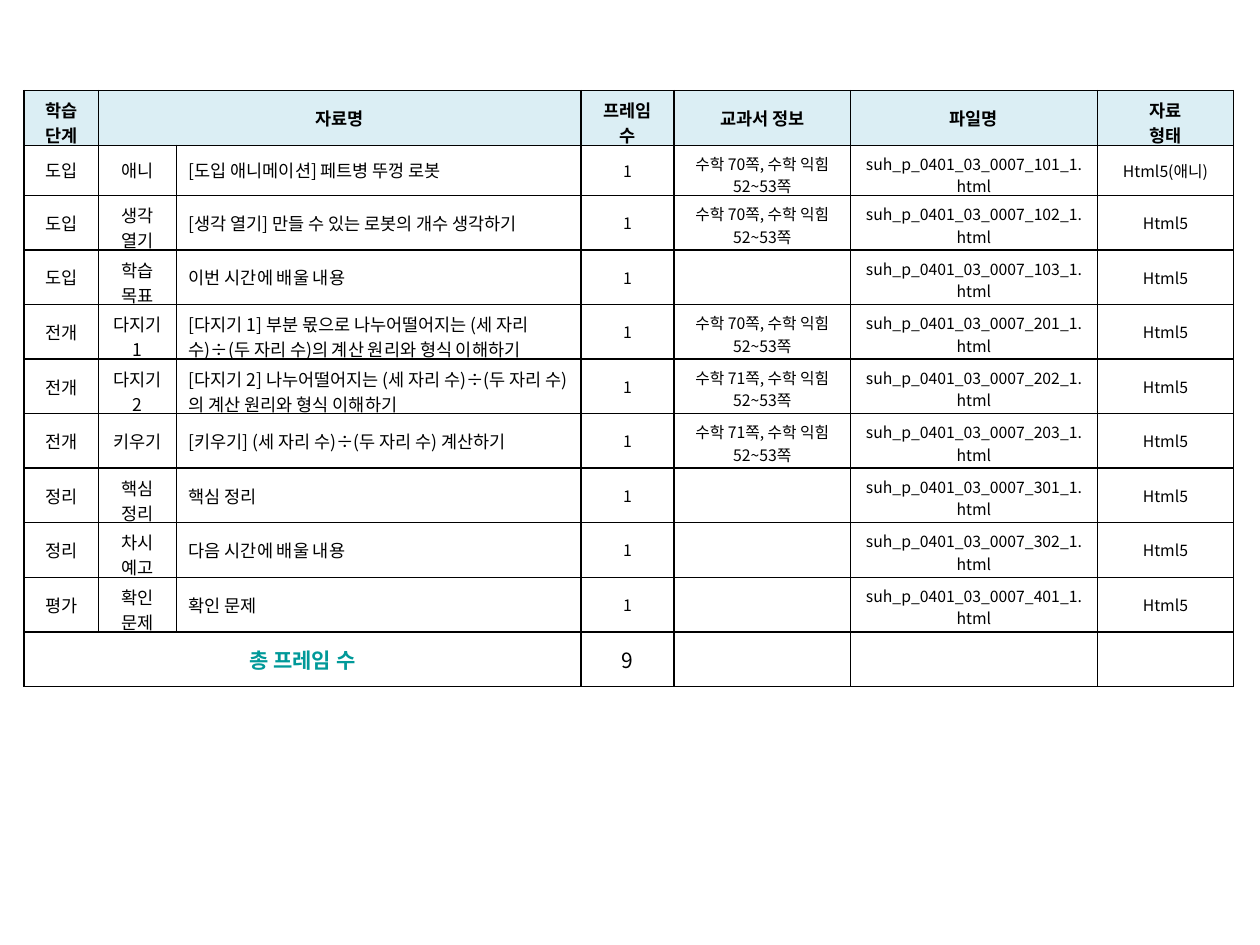
from lxml.etree import SubElement
from pptx import Presentation
from pptx.dml.color import RGBColor
from pptx.enum.text import MSO_ANCHOR, PP_ALIGN
from pptx.oxml.ns import qn
from pptx.util import Inches, Pt

FONT = "Noto Sans CJK KR"
BLACK, TEAL, HEADER_BLUE = "000000", "009999", "DBEEF4"

# Content
HEADERS = ["학습 단계", "자료명", "", "프레임 수", "교과서 정보", "파일명", "자료\n형태"]
# stage, activity, title, textbook pages in 수학, file number, format
LESSONS = [
    ("도입", "애니", "[도입 애니메이션] 페트병 뚜껑 로봇", 70, 101, "Html5(애니)"),
    ("도입", "생각 열기", "[생각 열기] 만들 수 있는 로봇의 개수 생각하기", 70, 102, "Html5"),
    ("도입", "학습 목표", "이번 시간에 배울 내용", None, 103, "Html5"),
    ("전개", "다지기1",
     "[다지기 1] 부분 몫으로 나누어떨어지는 (세 자리 수)÷(두 자리 수)의 계산 원리와 형식 이해하기",
     70, 201, "Html5"),
    ("전개", "다지기 2",
     "[다지기 2] 나누어떨어지는 (세 자리 수)÷(두 자리 수)의 계산 원리와 형식 이해하기",
     71, 202, "Html5"),
    ("전개", "키우기", "[키우기] (세 자리 수)÷(두 자리 수) 계산하기", 71, 203, "Html5"),
    ("정리", "핵심 정리", "핵심 정리", None, 301, "Html5"),
    ("정리", "차시 예고", "다음 시간에 배울 내용", None, 302, "Html5"),
    ("평가", "확인 문제", "확인 문제", None, 401, "Html5"),
]
TOTAL = ["총 프레임 수", "", "", str(len(LESSONS)), "", "", ""]

# Layout
LEFT, TOP, WIDTH, HEIGHT = 0.19, 0.72, 9.6, 4.73
COLUMN_WIDTHS = [0.59, 0.62, 3.21, 0.74, 1.4, 1.96, 1.08]
LINE_CAPACITIES = [3, 3, 35, 3, 12, 20, 11]  # characters that fit on one line
FIRST_LESSON_HEIGHT = 0.4
TITLE_COLUMN = 2
CELL_MARGIN = 0.05
LINE_HEIGHT = 1.47  # in ems


def color(hex_code):
    return RGBColor.from_string(hex_code)


def write(cell, text, size=10, bold=False, ink=BLACK, align=PP_ALIGN.CENTER):
    cell.vertical_anchor = MSO_ANCHOR.MIDDLE
    frame = cell.text_frame
    for number, line in enumerate(text.split("\n")):
        paragraph = frame.add_paragraph() if number else frame.paragraphs[0]
        paragraph.alignment = align
        if not line:
            end = SubElement(paragraph._p, qn("a:endParaRPr"))
            end.set("sz", str(size * 100))
            continue
        run = paragraph.add_run()
        run.text = line
        run.font.size, run.font.bold, run.font.name = Pt(size), bold, FONT
        run.font.color.rgb = color(ink)
        SubElement(run._r.get_or_add_rPr(), qn("a:ea")).set("typeface", FONT)


def fit_two_lines(cell, row_height, size):
    """Let two lines start at the top margin without stretching the row."""
    text_height = 2 * LINE_HEIGHT * size / 72
    cell.margin_bottom = Inches(row_height - CELL_MARGIN - text_height)


def paint(cell, fill=None):
    properties = cell._tc.get_or_add_tcPr()
    for side in ("lnL", "lnR", "lnT", "lnB"):
        border = SubElement(properties, qn(f"a:{side}"), w=str(Pt(1)))
        solid = SubElement(border, qn("a:solidFill"))
        SubElement(solid, qn("a:srgbClr"), val=BLACK)
    if fill:
        cell.fill.solid()
        cell.fill.fore_color.rgb = color(fill)
    else:
        cell.fill.background()


def lesson_row(stage, activity, title, page, number, file_format):
    pages = f"수학 {page}쪽, 수학 익힘 52~53쪽" if page else ""
    file_name = f"suh_p_0401_03_0007_{number}_1.html"
    return [stage, activity, title, "1", pages, file_name, file_format]


presentation = Presentation()
presentation.slide_width, presentation.slide_height = Inches(10), Inches(7.5)
slide = presentation.slides.add_slide(presentation.slide_layouts[6])

# Table grid
rows = [HEADERS, *(lesson_row(*lesson) for lesson in LESSONS), TOTAL]
last = len(rows) - 1
row_heights = [(HEIGHT - FIRST_LESSON_HEIGHT) / last] * len(rows)
row_heights[1] = FIRST_LESSON_HEIGHT
table = slide.shapes.add_table(
    len(rows), len(COLUMN_WIDTHS),
    Inches(LEFT), Inches(TOP), Inches(WIDTH), Inches(HEIGHT)).table
table.first_row = table.horz_banding = False
for column, width in zip(table.columns, COLUMN_WIDTHS):
    column.width = Inches(width)
for row, height in zip(table.rows, row_heights):
    row.height = Inches(height)

# Cells
for r, texts in enumerate(rows):
    for c, text in enumerate(texts):
        cell = table.cell(r, c)
        paint(cell, HEADER_BLUE if r == 0 else None)
        size = 9 if 0 < r < last and c > TITLE_COLUMN else 10
        if r == 0:
            write(cell, text, bold=True)
        elif r == last:
            label = c == 0
            write(cell, text, size=12, bold=label, ink=TEAL if label else BLACK)
        else:
            align = PP_ALIGN.LEFT if c == TITLE_COLUMN else PP_ALIGN.CENTER
            write(cell, text, size=size, align=align)
        if r < last and ("\n" in text or len(text) > LINE_CAPACITIES[c]):
            fit_two_lines(cell, row_heights[r], size)

# Merged cells
table.cell(0, 1).merge(table.cell(0, 2))
table.cell(last, 0).merge(table.cell(last, 2))

presentation.save("out.pptx")
